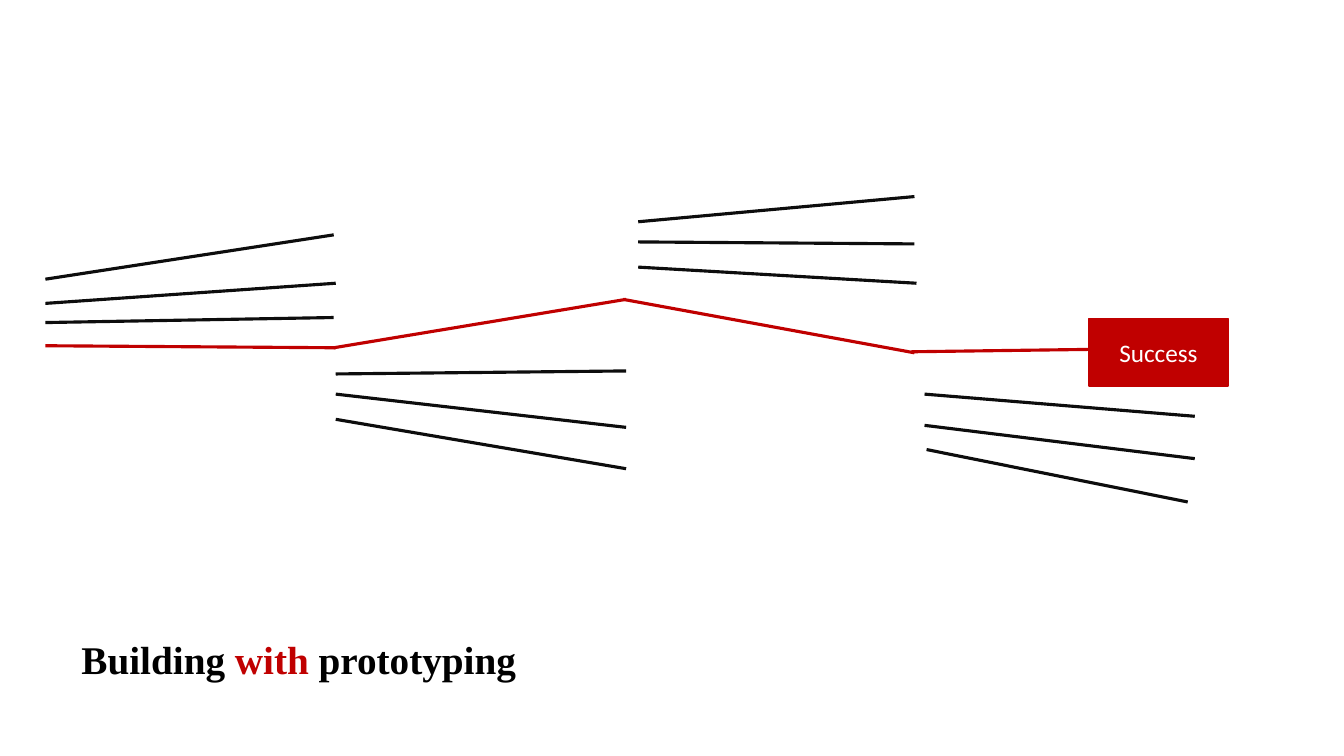
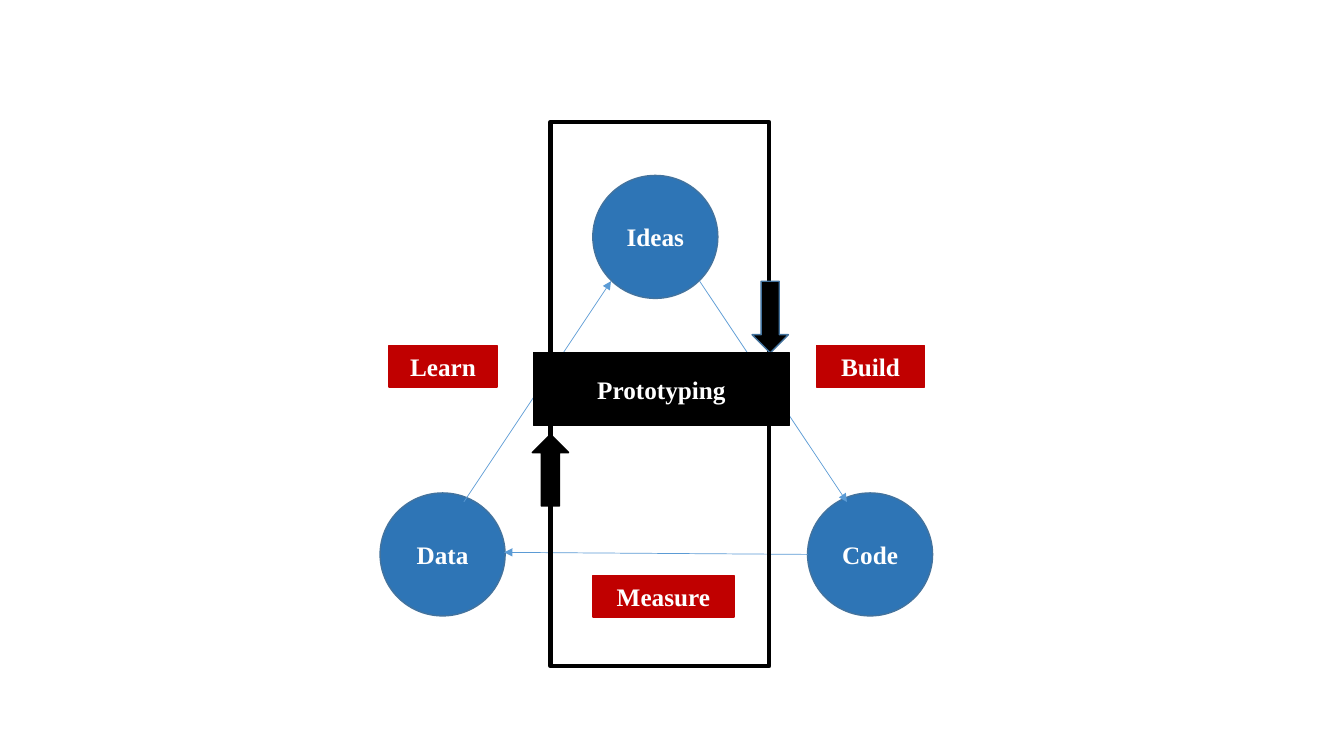
from dataclasses import dataclass
from typing import NamedTuple

from lxml.etree import SubElement
from pptx import Presentation
from pptx.dml.color import RGBColor
from pptx.enum.shapes import MSO_CONNECTOR, MSO_SHAPE
from pptx.enum.text import MSO_ANCHOR, MSO_AUTO_SIZE, PP_ALIGN
from pptx.oxml.ns import qn
from pptx.util import Emu, Pt


@dataclass(frozen=True)
class Theme:
    """Colours, fonts and point sizes of the deck."""
    black: str = "000000"
    ink: str = "0D0D0D"
    red: str = "C00000"
    blue: str = "2E75B6"
    edge: str = "43739E"
    link: str = "5B9BD5"
    white: str = "FFFFFF"
    serif: str = "Times New Roman"
    sans: str = "Calibri"
    title: int = 28
    label: int = 18
    thin: float = 0.5
    outline: float = 1
    path_line: float = 2.25
    frame_line: float = 3


class Box(NamedTuple):
    """Left, top, width and height in px."""
    x: int
    y: int
    w: int
    h: int


class Line(NamedTuple):
    """Start and end of a line in px."""
    x1: int
    y1: int
    x2: int
    y2: int


class Label(NamedTuple):
    """A captioned shape."""
    text: str
    box: Box


T = Theme()
PX = 9144
WIDTH, HEIGHT = 1333, 750

DEAD_ENDS = [
    Line(45, 277, 331, 233), Line(45, 301, 333, 281), Line(45, 320, 331, 315),
    Line(333, 371, 621, 368), Line(333, 391, 621, 424), Line(333, 416, 621, 465),
    Line(633, 220, 907, 195), Line(633, 240, 907, 242), Line(633, 265, 909, 281),
    Line(917, 391, 1185, 413), Line(917, 422, 1185, 455), Line(919, 446, 1178, 498),
]
SUCCESS_PATH = [
    Line(45, 343, 333, 345), Line(331, 345, 621, 297),
    Line(618, 297, 907, 350), Line(904, 349, 1203, 345),
]
STAGES = [
    Label("Ideas", Box(588, 174, 124, 122)),
    Label("Code", Box(801, 489, 124, 122)),
    Label("Data", Box(377, 489, 124, 122)),
]
STAGE_LINKS = [
    Line(694, 279, 840, 498), Line(801, 550, 500, 548), Line(460, 498, 606, 279),
]
STEPS = [
    Label("Build", Box(810, 343, 107, 41)),
    Label("Learn", Box(386, 343, 107, 41)),
    Label("Measure", Box(588, 571, 140, 41)),
]


def px(n: int) -> Emu:
    """Turn px into EMU."""
    return Emu(n * PX)


def rgb(color: str) -> RGBColor:
    """Turn a hex string into a colour."""
    return RGBColor.from_string(color)


def add_text(p, text: str, *, size=T.label, font=T.serif, color=T.white, bold=True) -> None:
    """Add one formatted run to a paragraph."""
    r = p.add_run()
    r.text = text
    r.font.size, r.font.name, r.font.bold = Pt(size), font, bold
    r.font.color.rgb = rgb(color)


def add_line(s, line: Line, color: str, width: float, arrow: bool = False) -> None:
    """Draw a straight connector, with an optional arrowhead at its end."""
    c = s.shapes.add_connector(MSO_CONNECTOR.STRAIGHT, *map(px, line))
    c.line.color.rgb = rgb(color)
    c.line.width = Pt(width)
    sp_pr = c._element.spPr
    if arrow:
        SubElement(sp_pr.find(qn("a:ln")), qn("a:tailEnd"), type="triangle")
    SubElement(sp_pr, qn("a:effectLst"))


def add_shape(s, kind: MSO_SHAPE, box: Box, fill: str | None, line: str,
              width: float = T.outline, text: str = "", **fmt) -> None:
    """Draw a preset shape with an optional centred caption."""
    sp = s.shapes.add_shape(kind, *map(px, box))
    sp.shadow.inherit = False
    if fill:
        sp.fill.solid()
        sp.fill.fore_color.rgb = rgb(fill)
    else:
        sp.fill.background()
    sp.line.color.rgb = rgb(line)
    sp.line.width = Pt(width)
    if text:
        tf = sp.text_frame
        tf.vertical_anchor = MSO_ANCHOR.MIDDLE
        p = tf.paragraphs[0]
        p.alignment = PP_ALIGN.CENTER
        add_text(p, text, **fmt)


def add_title(s, box: Box, parts: list[tuple[str, str]]) -> None:
    """Write a title from coloured parts."""
    tf = s.shapes.add_textbox(*map(px, box)).text_frame
    tf.word_wrap = True
    tf.auto_size = MSO_AUTO_SIZE.SHAPE_TO_FIT_TEXT
    for text, color in parts:
        add_text(tf.paragraphs[0], text, size=T.title, color=color)


def build_paths(s) -> None:
    """Draw the path to success among the dead ends."""
    for line in DEAD_ENDS:
        add_line(s, line, T.ink, T.path_line)
    for line in SUCCESS_PATH:
        add_line(s, line, T.red, T.path_line)
    add_shape(s, MSO_SHAPE.RECTANGLE, Box(1080, 316, 138, 67), T.red, T.red,
              text="Success", font=T.sans, bold=False)
    add_title(s, Box(71, 625, 1009, 57),
              [("Building ", T.black), ("with", T.red), (" prototyping", T.black)])


def build_cycle(s) -> None:
    """Draw the learning cycle with prototyping at its centre."""
    for stage in STAGES:
        add_shape(s, MSO_SHAPE.OVAL, stage.box, T.blue, T.edge, text=stage.text)
    for line in STAGE_LINKS:
        add_line(s, line, T.link, T.thin, arrow=True)
    for step in STEPS:
        add_shape(s, MSO_SHAPE.RECTANGLE, step.box, T.red, T.red, text=step.text)
    add_shape(s, MSO_SHAPE.RECTANGLE, Box(546, 121, 217, 540), None, T.black, T.frame_line)
    add_shape(s, MSO_SHAPE.DOWN_ARROW, Box(746, 279, 36, 71), T.black, T.edge)
    add_shape(s, MSO_SHAPE.UP_ARROW, Box(528, 431, 36, 71), T.black, T.black)
    add_shape(s, MSO_SHAPE.RECTANGLE, Box(529, 350, 254, 72), T.black, T.black,
              text="Prototyping")


def main() -> None:
    """Build and save the deck."""
    prs = Presentation()
    prs.slide_width, prs.slide_height = px(WIDTH), px(HEIGHT)
    for build in (build_paths, build_cycle):
        build(prs.slides.add_slide(prs.slide_layouts[6]))
    prs.save("out.pptx")


if __name__ == "__main__":
    main()
